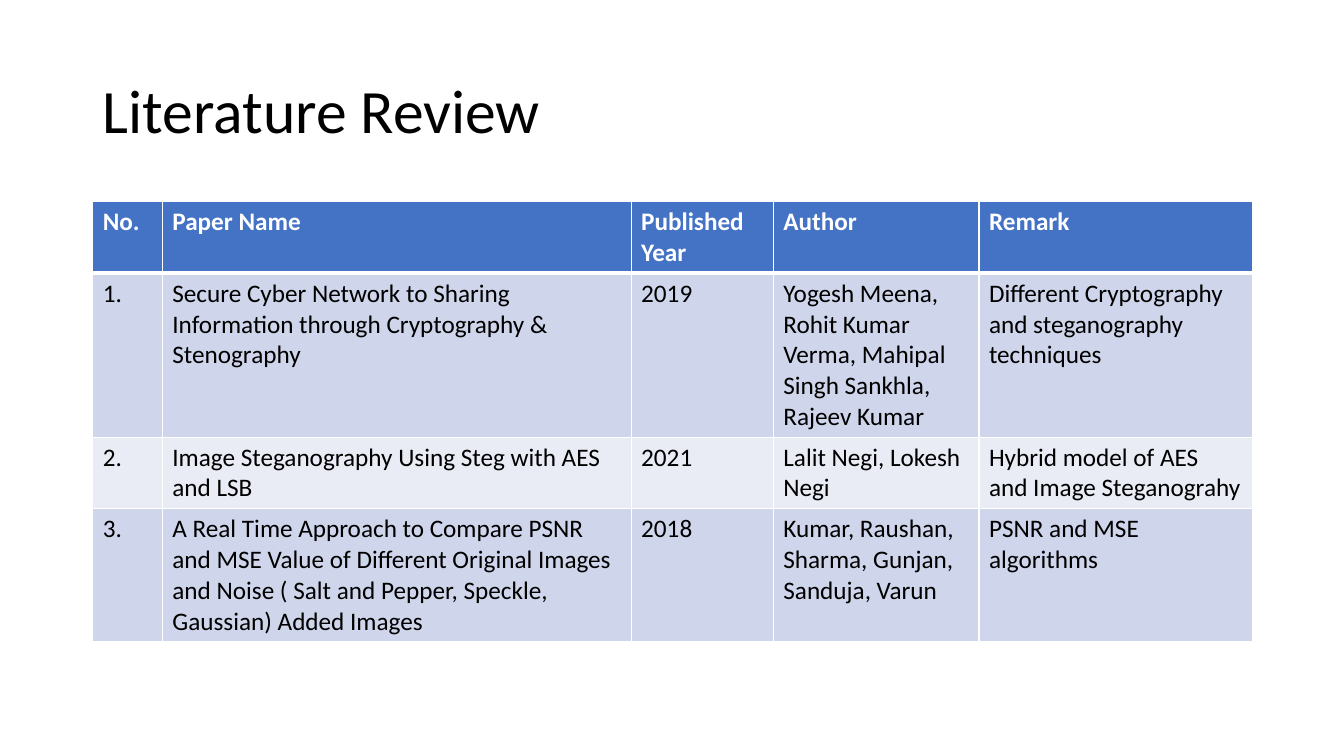
from lxml import etree
from pptx import Presentation
from pptx.dml.color import RGBColor
from pptx.enum.text import MSO_ANCHOR, PP_ALIGN
from pptx.oxml.ns import qn
from pptx.util import Pt

EMU_PER_PX = 9144  # 100 px to the inch
MIDDLE = MSO_ANCHOR.MIDDLE
LEFT = PP_ALIGN.LEFT
TITLE_ONLY = 5

BLACK = RGBColor(0x00, 0x00, 0x00)
WHITE = RGBColor(0xFF, 0xFF, 0xFF)
HEADER_BLUE = RGBColor(0x44, 0x72, 0xC4)
ODD_BAND = RGBColor(0xCF, 0xD5, 0xEA)
EVEN_BAND = RGBColor(0xE9, 0xEB, 0xF5)

COLUMN_WIDTHS = [69, 465, 141, 204, 271]
ROW_HEIGHT = 41
PAPERS = [
    ["No.", "Paper Name", "Published Year", "Author", "Remark"],
    ["1.", "Secure Cyber Network to Sharing Information through Cryptography & Stenography",
     "2019", "Yogesh Meena, Rohit Kumar Verma, Mahipal Singh Sankhla, Rajeev Kumar",
     "Different Cryptography and steganography techniques"],
    ["2.", "Image Steganography Using Steg with AES and LSB",
     "2021", "Lalit Negi, Lokesh Negi", "Hybrid model of AES and Image Steganograhy"],
    ["3.", "A Real Time Approach to Compare PSNR and MSE Value of Different Original Images "
     "and Noise ( Salt and Pepper, Speckle, Gaussian) Added Images",
     "2018", "Kumar, Raushan, Sharma, Gunjan,\nSanduja, Varun", "PSNR and MSE algorithms"],
]


def px(length):
    return length * EMU_PER_PX


class SlideBuilder:
    font_name = "Calibri"

    def __init__(self, slide):
        self.slide = slide

    def format_text(self, text_frame, size, color, bold=False):
        for paragraph in text_frame.paragraphs:
            paragraph.alignment = LEFT
            for run in paragraph.runs:
                run.font.name = self.font_name
                run.font.size = Pt(size)
                run.font.bold = bold
                run.font.color.rgb = color

    def add_title(self, text, left, top, width, height):
        title = self.slide.shapes.title
        title.left, title.top = px(left), px(top)
        title.width, title.height = px(width), px(height)
        text_frame = title.text_frame
        text_frame.text = text
        text_frame.vertical_anchor = MIDDLE
        text_frame.paragraphs[0].line_spacing = 0.9
        self.format_text(text_frame, 44, BLACK)

    def add_table(self, rows, left, top, width, height):
        frame = self.slide.shapes.add_table(
            len(rows), len(COLUMN_WIDTHS), px(left), px(top), px(width), px(height))
        table = frame.table
        for column, column_width in zip(table.columns, COLUMN_WIDTHS):
            column.width = px(column_width)
        for row_index, texts in enumerate(rows):
            table.rows[row_index].height = px(ROW_HEIGHT)
            for column_index, text in enumerate(texts):
                self.fill_cell(table.cell(row_index, column_index), text, row_index)
        frame.width, frame.height = px(width), px(height)

    def fill_cell(self, cell, text, row_index):
        is_header = row_index == 0
        top_width = 3 if row_index == 1 else 1
        bottom_width = 3 if is_header else 1
        self.set_borders(cell, {"L": 1, "R": 1, "T": top_width, "B": bottom_width})
        cell.fill.solid()
        band = ODD_BAND if row_index % 2 else EVEN_BAND
        cell.fill.fore_color.rgb = HEADER_BLUE if is_header else band
        cell.text_frame.text = text
        self.format_text(cell.text_frame, 18, WHITE if is_header else BLACK, is_header)

    def set_borders(self, cell, widths):
        """Draw white cell edges; widths maps an edge letter to points."""
        properties = cell._tc.get_or_add_tcPr()
        for edge, width in widths.items():
            line = etree.SubElement(properties, qn(f"a:ln{edge}"), w=str(Pt(width)))
            fill = etree.SubElement(line, qn("a:solidFill"))
            etree.SubElement(fill, qn("a:srgbClr"), val=str(WHITE))


def main():
    presentation = Presentation()
    presentation.slide_width, presentation.slide_height = px(1333), px(750)
    slide = presentation.slides.add_slide(presentation.slide_layouts[TITLE_ONLY])
    builder = SlideBuilder(slide)
    builder.add_title("Literature Review", 92, 40, 1150, 145)
    builder.add_table(PAPERS, 92, 200, 1150, 430)
    presentation.save("out.pptx")


if __name__ == "__main__":
    main()
